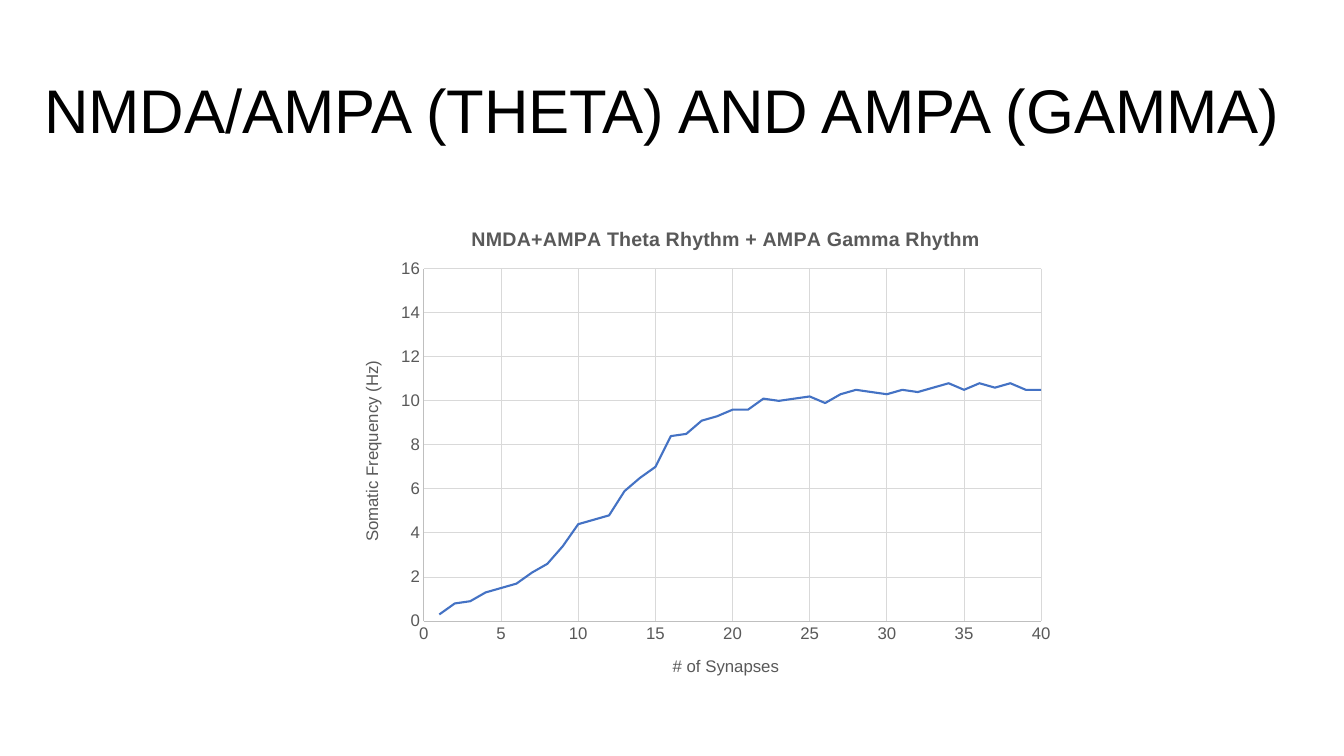
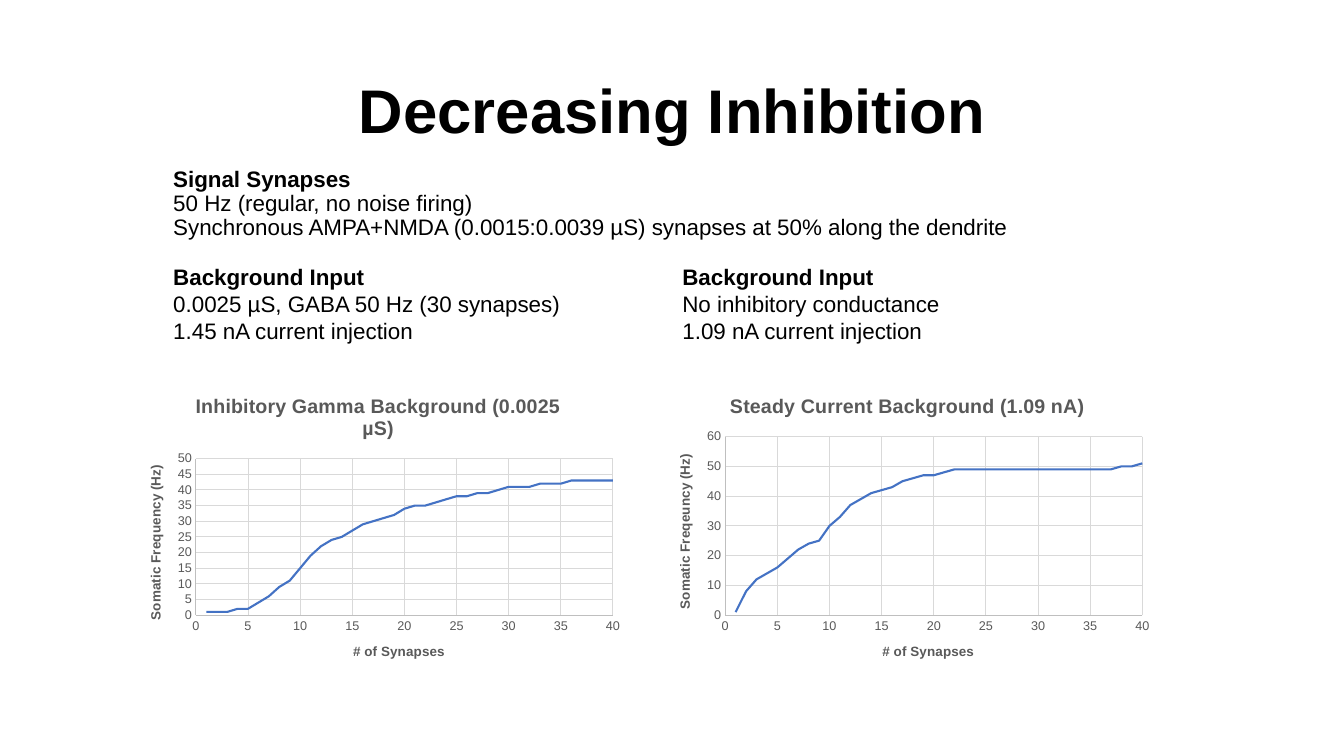
import pptx
import pptx.util
import pptx.dml.color
import pptx.chart.data
import pptx.enum.chart
import pptx.enum.text
import pptx.oxml

Inches, Pt = pptx.util.Inches, pptx.util.Pt
FONT = "Arial"
BLACK, GRAY, AXIS, GRID, BLUE = "000000", "595959", "BFBFBF", "D9D9D9", "4472C4"
LEFT, CENTER = pptx.enum.text.PP_ALIGN.LEFT, pptx.enum.text.PP_ALIGN.CENTER

THETA_GAMMA = {
    "title": "NMDA+AMPA Theta Rhythm + AMPA Gamma Rhythm",
    "y_title": "Somatic Frequency (Hz)",
    "y_max": 16, "y_step": 2,
    "tick_size": 12, "axis_size": 12, "axis_bold": False,
    "plot": (0.093, 0.124, 0.832, 0.715),
    "values": [0.3, 0.8, 0.9, 1.3, 1.5, 1.7, 2.2, 2.6, 3.4, 4.4,
               4.6, 4.8, 5.9, 6.5, 7, 8.4, 8.5, 9.1, 9.3, 9.6,
               9.6, 10.1, 10, 10.1, 10.2, 9.9, 10.3, 10.5, 10.4, 10.3,
               10.5, 10.4, 10.6, 10.8, 10.5, 10.8, 10.6, 10.8, 10.5, 10.5],
}
SMALL = {"tick_size": 9, "axis_size": 9.6, "axis_bold": True, "plot": None}
INHIBITORY = {
    **SMALL,
    "title": "Inhibitory Gamma Background (0.0025 µS)",
    "y_title": "Somatic Frequency (Hz)",
    "y_max": 50, "y_step": 5,
    "values": [1, 1, 1, 2, 2, 4, 6, 9, 11, 15, 19, 22, 24, 25, 27, 29, 30, 31, 32, 34,
               35, 35, 36, 37, 38, 38, 39, 39, 40, 41, 41, 41, 42, 42, 42, 43, 43, 43, 43, 43],
}
STEADY = {
    **SMALL,
    "title": "Steady Current Background (1.09 nA)",
    "y_title": "Somatic Freqeuncy (Hz)",
    "y_max": 60, "y_step": 10,
    "values": [1, 8, 12, 14, 16, 19, 22, 24, 25, 30, 33, 37, 39, 41, 42, 43, 45, 46, 47, 47,
               48] + [49] * 16 + [50, 50, 51],
}

SLIDES = [
    {
        "title": ("NMDA/AMPA (THETA) AND AMPA (GAMMA)", (0.34, 0.4, 12.83, 1.45), LEFT, False),
        "notes": [],
        "charts": [((3.52, 2.06, 7.36, 4.89), THETA_GAMMA)],
    },
    {
        "title": ("Decreasing Inhibition", (0.92, 0.4, 11.5, 1.45), CENTER, True),
        "notes": [
            ((1.62, 1.62, 8.76, 0.91), 0.9,
             ["Signal Synapses", "50 Hz (regular, no noise firing)",
              "Synchronous AMPA+NMDA (0.0015:0.0039 µS) synapses at 50% along the dendrite"]),
            ((1.62, 2.56, 4.3, 0.91), 1.0,
             ["Background Input", "0.0025 µS, GABA 50 Hz (30 synapses)",
              "1.45 nA current injection"]),
            ((6.67, 2.56, 3.33, 0.91), 1.0,
             ["Background Input", "No inhibitory conductance", "1.09 nA current injection"]),
        ],
        "charts": [((1.25, 3.75, 5, 3), INHIBITORY), ((6.5, 3.75, 5, 3), STEADY)],
    },
]


def rgb(color):
    return pptx.dml.color.RGBColor.from_string(color)


def style_font(font, size, color=BLACK, bold=False):
    font.name, font.size, font.bold = FONT, Pt(size), bold
    font.color.rgb = rgb(color)


def style_line(line, color, width=0.75):
    line.color.rgb = rgb(color)
    line.width = Pt(width)


def add_text(s, box, lines, size, spacing, align=LEFT, bold_first=True):
    tf = s.shapes.add_textbox(*map(Inches, box)).text_frame
    tf.word_wrap = True
    tf.text = "\n".join(lines)
    for i, p in enumerate(tf.paragraphs):
        p.alignment, p.line_spacing = align, spacing
        style_font(p.runs[0].font, size, bold=bold_first and i == 0)
    return tf


def add_title(s, text, box, align, bold):
    tf = add_text(s, box, [text], 44, 0.9, align, bold)
    tf.vertical_anchor = pptx.enum.text.MSO_ANCHOR.MIDDLE


def set_title(owner, text, size, bold):
    tf = owner.text_frame
    tf.text = text
    style_font(tf.paragraphs[0].runs[0].font, size, GRAY, bold)


def style_axis(axis, title, top, step, look):
    axis.minimum_scale, axis.maximum_scale, axis.major_unit = 0, top, step
    axis.major_tick_mark = axis.minor_tick_mark = pptx.enum.chart.XL_TICK_MARK.NONE
    axis.has_major_gridlines = True
    style_line(axis.major_gridlines.format.line, GRID)
    style_line(axis.format.line, AXIS)
    style_font(axis.tick_labels.font, look["tick_size"], GRAY)
    set_title(axis.axis_title, title, look["axis_size"], look["axis_bold"])


def place_plot(chart, fractions):
    area = chart.element.chart.plotArea
    qn = pptx.oxml.ns.qn
    for old in area.findall(qn("c:layout")):
        area.remove(old)
    settings = [("layoutTarget", "inner"), ("xMode", "edge"), ("yMode", "edge")]
    settings += zip("xywh", fractions)
    parts = "".join(f'<c:{name} val="{value}"/>' for name, value in settings)
    area.insert(0, pptx.oxml.parse_xml(
        f'<c:layout {pptx.oxml.ns.nsdecls("c")}><c:manualLayout>{parts}</c:manualLayout></c:layout>'))


def add_synapse_chart(s, box, look):
    data = pptx.chart.data.XyChartData()
    series = data.add_series("Series 1")
    for synapses, frequency in enumerate(look["values"], 1):
        series.add_data_point(synapses, frequency)
    kind = pptx.enum.chart.XL_CHART_TYPE.XY_SCATTER_LINES_NO_MARKERS
    chart = s.shapes.add_chart(kind, *map(Inches, box), data).chart
    style_font(chart.font, look["tick_size"])
    chart.has_legend = False
    chart.has_title = True
    set_title(chart.chart_title, look["title"], 14, True)
    chart.chart_title.include_in_layout = False
    style_axis(chart.category_axis, "# of Synapses", 40, 5, look)
    style_axis(chart.value_axis, look["y_title"], look["y_max"], look["y_step"], look)
    plot = chart.plots[0]
    plot.vary_by_categories = False
    plot.series[0].smooth = False
    style_line(plot.series[0].format.line, BLUE, 1.5)
    if look["plot"]:
        place_plot(chart, look["plot"])


def main():
    prs = pptx.Presentation()
    prs.slide_width, prs.slide_height = Inches(13.33), Inches(7.5)
    for content in SLIDES:
        s = prs.slides.add_slide(prs.slide_layouts[6])
        add_title(s, *content["title"])
        for box, spacing, lines in content["notes"]:
            add_text(s, box, lines, 16, spacing)
        for box, look in content["charts"]:
            add_synapse_chart(s, box, look)
    prs.save("out.pptx")


if __name__ == "__main__":
    main()
